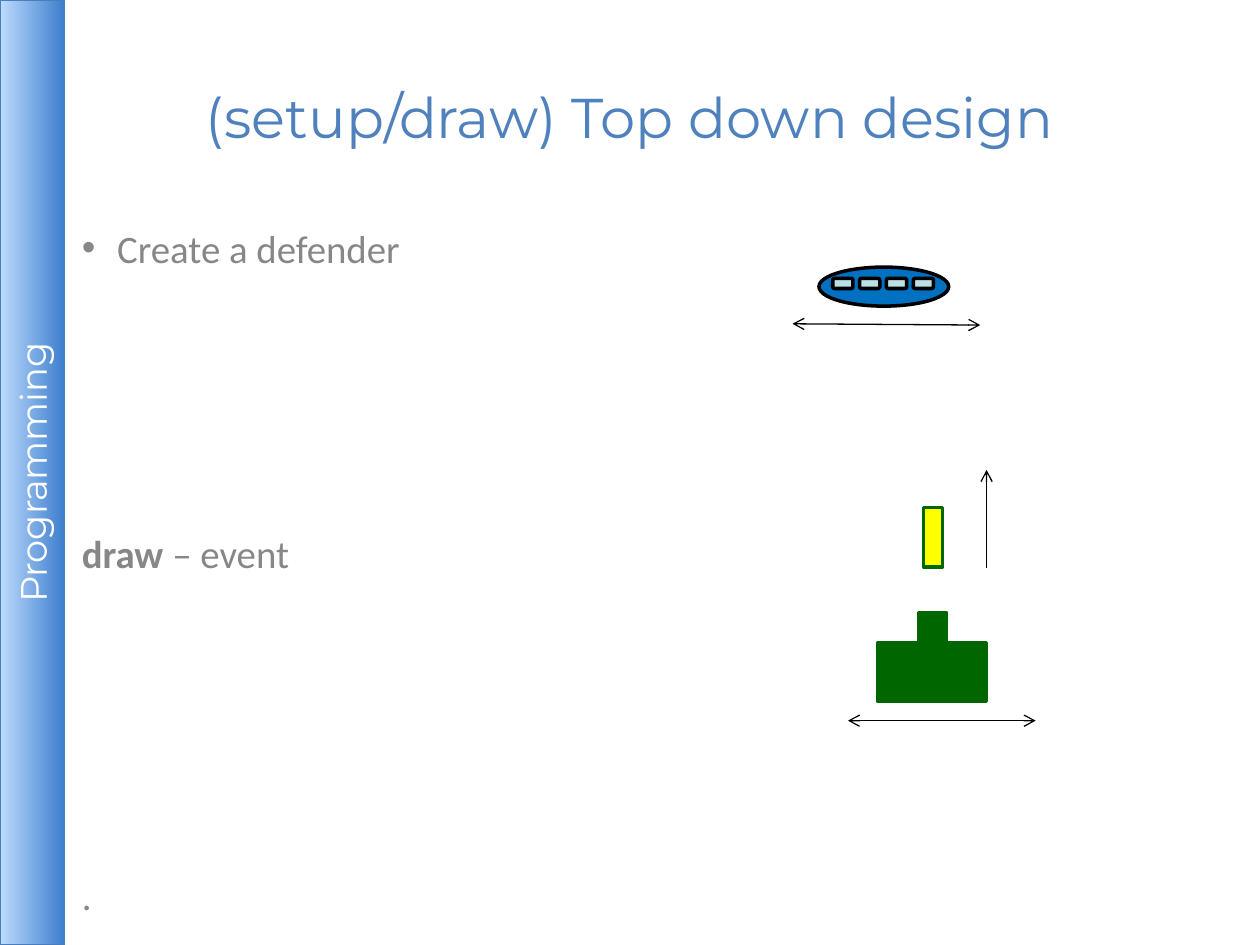
from pptx import Presentation
from pptx.dml.color import RGBColor
from pptx.enum.shapes import MSO_CONNECTOR, MSO_SHAPE
from pptx.enum.text import MSO_ANCHOR, PP_ALIGN
from pptx.oxml.ns import qn
from pptx.util import Inches, Pt

RECT, OVAL, ROUND = MSO_SHAPE.RECTANGLE, MSO_SHAPE.OVAL, MSO_SHAPE.ROUNDED_RECTANGLE
MIDDLE, TOP = MSO_ANCHOR.MIDDLE, MSO_ANCHOR.TOP
CENTER, LEFT = PP_ALIGN.CENTER, PP_ALIGN.LEFT
W, H, BAR_W = 10, 7.5, 0.51

TITLE = "(setup/draw) Top down design"
SIDEBAR = "Programming"
# runs as (text, bold), space before, bulleted
BODY = [
    ([("Create a defender", False)], 0, True),
    ([("draw", True), (" – event", False)], 148, False),
    ([(".", False)], 168.5, False),
]
GREEN, YELLOW, BLUE, PALE, BLACK = "006600", "FFFF00", "0070C0", "BBE0E3", "000000"
WINDOWS, WINDOW_X, WINDOW_STEP = 4, 6.61, 0.213
# kind, left, top, width, height, fill, line
SHAPES = [
    (RECT, 6.97, 5.1, 0.86, 0.47, GREEN, GREEN),    # defender
    (RECT, 7.33, 4.03, 0.15, 0.47, YELLOW, GREEN),  # bullet
    (RECT, 7.29, 4.86, 0.22, 0.47, GREEN, GREEN),   # gun
    (OVAL, 6.5, 2.12, 1.03, 0.31, BLUE, BLACK),     # saucer
] + [(ROUND, WINDOW_X + i * WINDOW_STEP, 2.21, 0.16, 0.08, PALE, BLACK)
     for i in range(WINDOWS)]
# x1, y1, x2, y2, arrow ends
ARROWS = [
    (6.73, 5.72, 8.22, 5.72, ("headEnd", "tailEnd")),
    (7.83, 4.51, 7.83, 3.73, ("tailEnd",)),
    (6.29, 2.57, 7.78, 2.58, ("headEnd", "tailEnd")),
]


def rgb(color):
    return RGBColor.from_string(color)


def write(p, text, size, color, font="Calibri", bold=False, align=LEFT):
    p.alignment = align
    r = p.add_run()
    r.text = text
    r.font.size, r.font.name, r.font.bold = Pt(size), font, bold
    r.font.color.rgb = rgb(color)


def frame(sp, anchor=MIDDLE):
    tf = sp.text_frame
    tf.word_wrap, tf.vertical_anchor = True, anchor
    tf.margin_left = tf.margin_right = tf.margin_top = tf.margin_bottom = Inches(0.04)
    return tf


def add_shape(s, kind, box, line, line_width):
    sp = s.shapes.add_shape(kind, *map(Inches, box))
    sp.shadow.inherit = False
    sp.line.color.rgb, sp.line.width = rgb(line), Pt(line_width)
    return sp


def add_sidebar(s):
    sp = add_shape(s, RECT, (0, 0, BAR_W, H), "4A7DBB", 0.75)
    sp.fill.gradient()
    sp.fill.gradient_angle = 0
    for stop, color in zip(sp.fill.gradient_stops, ("BDDBFE", "3E7FCD")):
        stop.color.rgb = rgb(color)
    tf = frame(sp)
    sp.element.txBody.find(qn("a:bodyPr")).set("vert", "vert270")
    write(tf.paragraphs[0], SIDEBAR, 21, "FFFFFF", "Montserrat", align=CENTER)


def add_title(s):
    sp = s.shapes.title
    sp.left, sp.top, sp.width, sp.height = map(Inches, (0.5, 0.3, 9, 1.25))
    write(frame(sp).paragraphs[0], TITLE, 32, "4F81BD", "Montserrat", align=CENTER)


def add_body(s):
    tf = frame(s.shapes.add_textbox(*map(Inches, (0.61, 1.74, 8.89, 5.24))), TOP)
    for i, (runs, gap, bulleted) in enumerate(BODY):
        p = tf.add_paragraph() if i else tf.paragraphs[0]
        p.space_before = Pt(gap)
        for text, bold in runs:
            write(p, text, 22.2, "878787", bold=bold)
        if bulleted:
            pPr = p._p.get_or_add_pPr()
            pPr.set("marL", str(Inches(0.28)))
            pPr.set("indent", str(-Inches(0.28)))
            font = pPr.makeelement(qn("a:buFont"), {"typeface": "Arial"})
            pPr.append(font)
            pPr.append(pPr.makeelement(qn("a:buChar"), {"char": "•"}))


def add_arrow(s, x1, y1, x2, y2, ends):
    c = s.shapes.add_connector(MSO_CONNECTOR.STRAIGHT, *map(Inches, (x1, y1, x2, y2)))
    c.line.color.rgb, c.line.width = rgb(BLACK), Pt(0.75)
    ln = c.line._get_or_add_ln()
    for end in ends:
        ln.append(ln.makeelement(qn(f"a:{end}"), {"type": "arrow"}))
    spPr = c.element.spPr
    spPr.append(spPr.makeelement(qn("a:effectLst"), {}))


def main():
    prs = Presentation()
    prs.slide_width, prs.slide_height = Inches(W), Inches(H)
    s = prs.slides.add_slide(prs.slide_layouts[5])
    add_sidebar(s)
    add_title(s)
    add_body(s)
    for kind, *box, fill, line in SHAPES:
        sp = add_shape(s, kind, box, line, 2)
        sp.fill.solid()
        sp.fill.fore_color.rgb = rgb(fill)
    for arrow in ARROWS:
        add_arrow(s, *arrow)
    prs.save("out.pptx")


if __name__ == "__main__":
    main()
